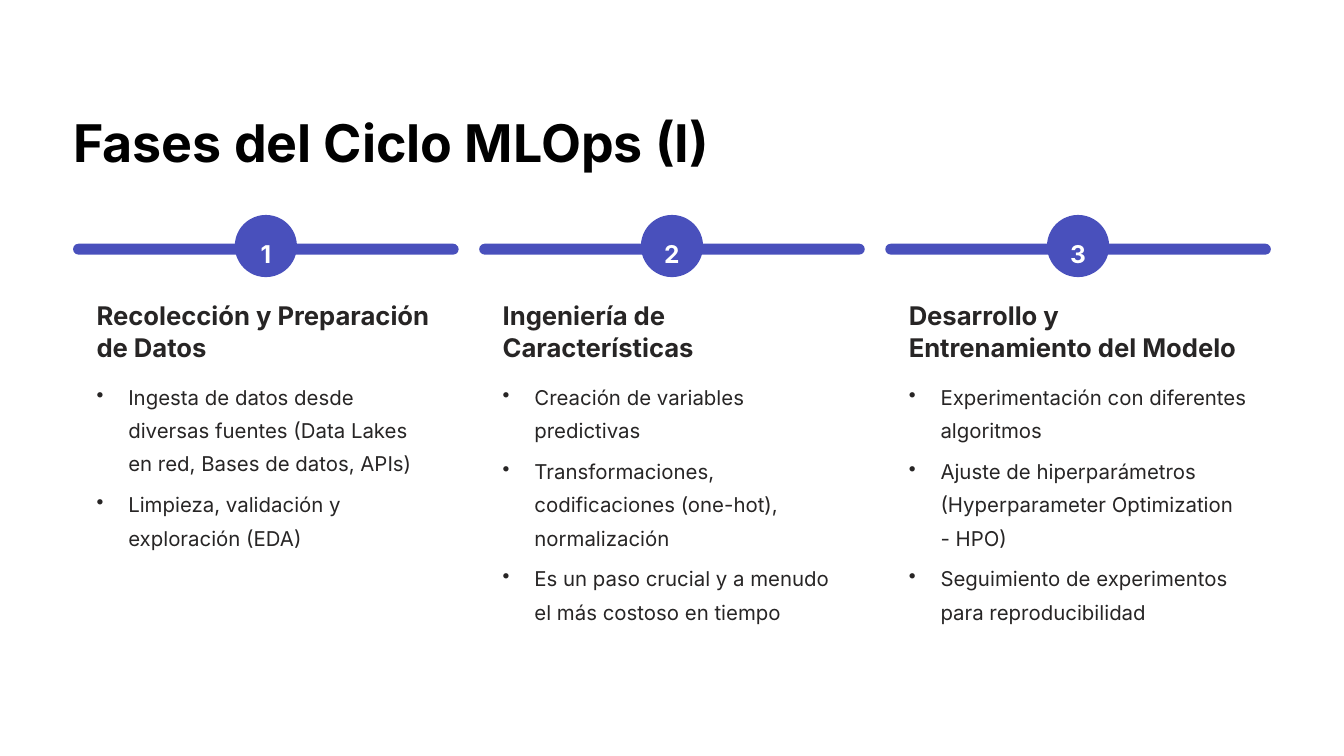
from lxml.etree import SubElement
from pptx import Presentation
from pptx.dml.color import RGBColor
from pptx.enum.shapes import MSO_SHAPE as Shape
from pptx.enum.text import MSO_ANCHOR as Anchor, PP_ALIGN as Align
from pptx.oxml.ns import qn
from pptx.util import Cm, Pt

FONT = "Inter"
ACCENT, INK, BLACK, WHITE = "4950BC", "272525", "000000", "FFFFFF"

LEFT, PITCH = 2.21, 12.28
BAR_WIDTH, BAR_TOP, BAR_HEIGHT = 11.66, 7.37, 0.33
CIRCLE_TOP, CIRCLE_SIZE = 6.5, 1.88
TEXT_INSET, TEXT_WIDTH = 0.71, 10.24
BULLET_INDENT = 0.96

PHASES = [
    ("Recolección y Preparación de Datos", [
        "Ingesta de datos desde diversas fuentes (Data Lakes en red, Bases de datos, APIs)",
        "Limpieza, validación y exploración (EDA)",
    ]),
    ("Ingeniería de Características", [
        "Creación de variables predictivas",
        "Transformaciones, codificaciones (one-hot), normalización",
        "Es un paso crucial y a menudo el más costoso en tiempo",
    ]),
    ("Desarrollo y Entrenamiento del Modelo", [
        "Experimentación con diferentes algoritmos",
        "Ajuste de hiperparámetros (Hyperparameter Optimization - HPO)",
        "Seguimiento de experimentos para reproducibilidad",
    ]),
]


def color(value):
    return RGBColor.from_string(value)


def clear_margins(frame):
    frame.margin_left = frame.margin_right = 0
    frame.margin_top = frame.margin_bottom = 0


def style_paragraph(para, size, line_height, ink, bold=False):
    para.line_spacing = Pt(line_height)
    for span in para.runs:
        font = span.font
        font.name, font.size, font.bold = FONT, Pt(size), bold
        font.color.rgb = color(ink)


def add_text(page, left, top, width, height, text, wrap=True):
    """Add a text box without margins; each line of text is a paragraph."""
    box = page.shapes.add_textbox(Cm(left), Cm(top), Cm(width), Cm(height))
    frame = box.text_frame
    clear_margins(frame)
    frame.word_wrap = wrap
    frame.text = text
    return frame


def add_bullet(para):
    properties = para._p.get_or_add_pPr()
    properties.set("marL", str(Cm(BULLET_INDENT)))
    properties.set("indent", str(-Cm(BULLET_INDENT)))
    SubElement(properties, qn("a:buChar")).set("char", "•")


def add_accent_shape(page, kind, left, top, width, height):
    shape = page.shapes.add_shape(kind, Cm(left), Cm(top), Cm(width), Cm(height))
    shape.shadow.inherit = False
    shape.fill.solid()
    shape.fill.fore_color.rgb = color(ACCENT)
    shape.line.fill.background()
    return shape


def add_number(page, left, number):
    circle = add_accent_shape(page, Shape.OVAL, left, CIRCLE_TOP, CIRCLE_SIZE, CIRCLE_SIZE)
    frame = circle.text_frame
    clear_margins(frame)
    frame.margin_top = Cm(0.13)
    frame.vertical_anchor = Anchor.TOP
    frame.text = str(number)
    para = frame.paragraphs[0]
    para.alignment = Align.CENTER
    style_paragraph(para, 21, 34, WHITE, bold=True)


def add_phase(page, left, number, heading, items):
    bar = add_accent_shape(page, Shape.ROUNDED_RECTANGLE, left, BAR_TOP, BAR_WIDTH, BAR_HEIGHT)
    bar.adjustments[0] = 0.5
    add_number(page, left + (BAR_WIDTH - CIRCLE_SIZE) / 2, number)

    text_left = left + TEXT_INSET
    frame = add_text(page, text_left, 9.02, TEXT_WIDTH, 1.98, heading)
    style_paragraph(frame.paragraphs[0], 22, 27.5, INK, bold=True)

    frame = add_text(page, text_left, 11.38, TEXT_WIDTH, 7.47, "\n".join(items))
    for index, para in enumerate(frame.paragraphs):
        add_bullet(para)
        style_paragraph(para, 17.5, 28.5, INK)
        if index:
            para.space_before = Pt(6.5)


def main():
    deck = Presentation()
    deck.slide_width, deck.slide_height = Cm(40.64), Cm(22.86)
    page = deck.slides.add_slide(deck.slide_layouts[6])

    title = add_text(page, LEFT, 3.28, 19.35, 1.98, "Fases del Ciclo MLOps (I)", wrap=False)
    style_paragraph(title.paragraphs[0], 44.5, 55.5, BLACK, bold=True)

    for index, (heading, items) in enumerate(PHASES):
        add_phase(page, LEFT + index * PITCH, index + 1, heading, items)

    deck.save("out.pptx")


if __name__ == "__main__":
    main()
